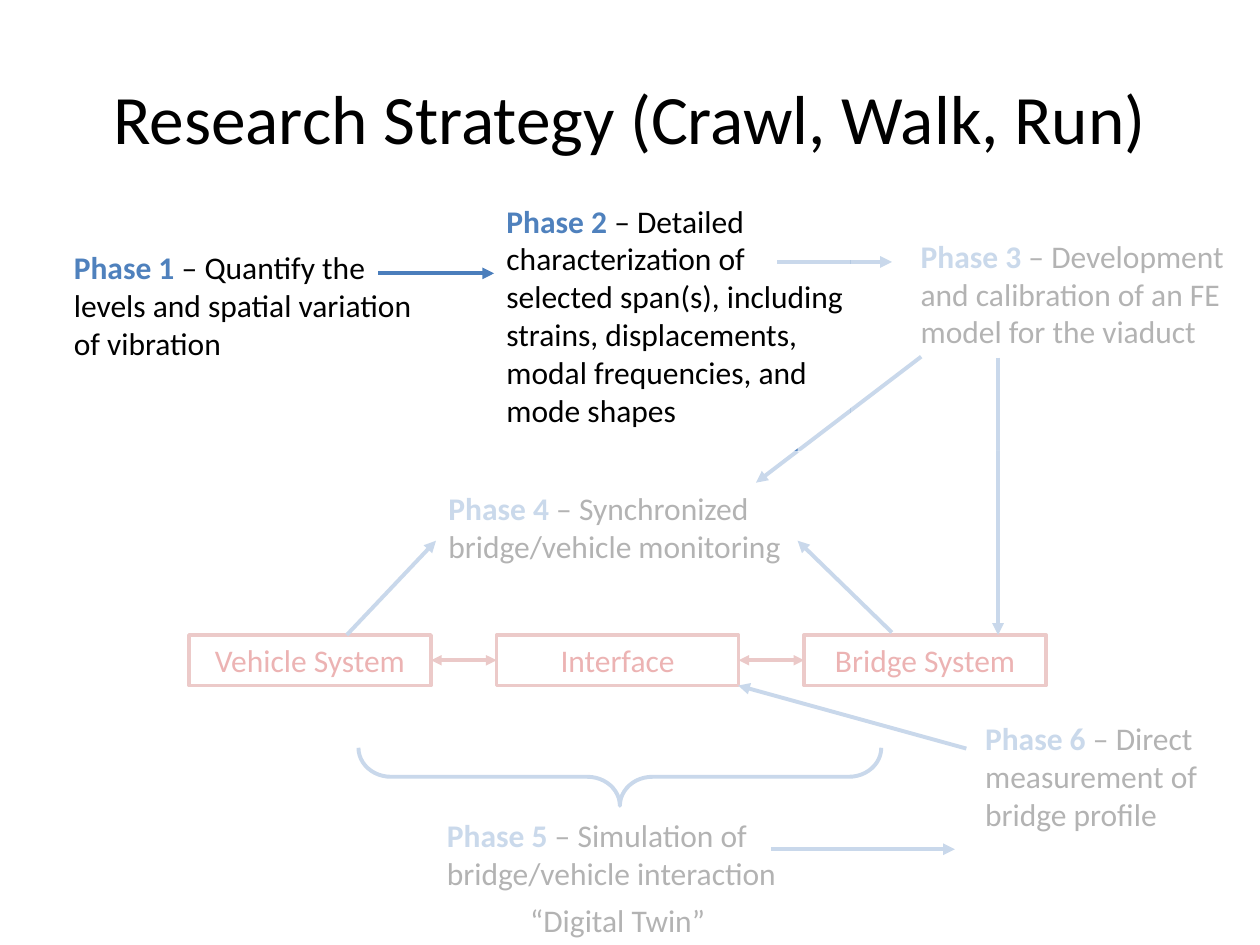
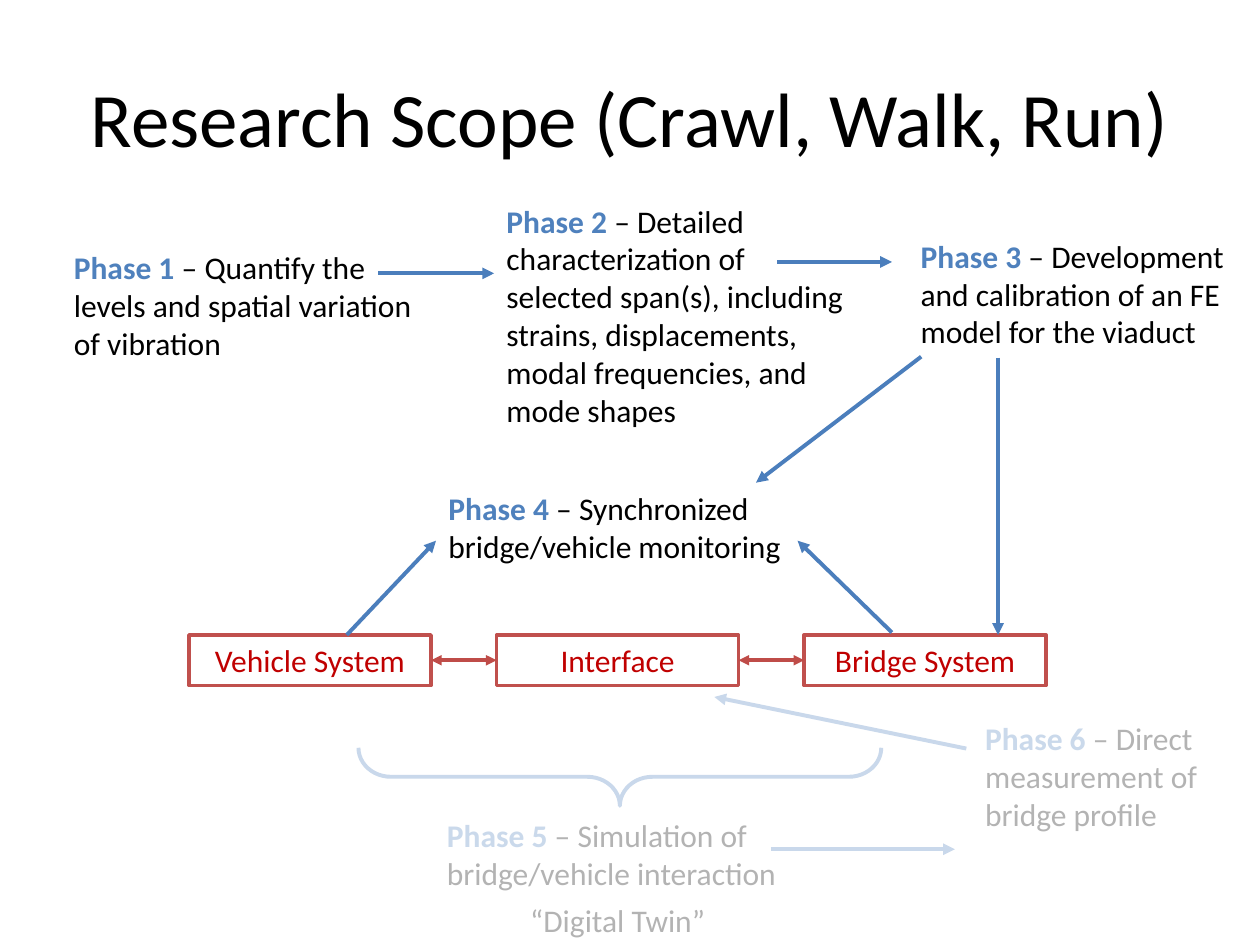
from lxml.etree import SubElement
from pptx import Presentation
from pptx.dml.color import RGBColor
from pptx.enum.shapes import MSO_CONNECTOR, MSO_SHAPE
from pptx.enum.text import MSO_ANCHOR, MSO_AUTO_SIZE, PP_ALIGN
from pptx.oxml.ns import qn
from pptx.util import Cm, Pt

BLUE, RED, DARK_RED = "4B7EBC", "C0504D", "C00000"
PHASE_BLUE, BLACK, WHITE = "4F81BD", "000000", "FFFFFF"
FONT = "Calibri"


def color(hex_string):
    return RGBColor.from_string(hex_string)


def style_connector(connector, line_color, width, ends):
    connector.line.color.rgb = color(line_color)
    connector.line.width = Pt(width)
    properties = connector.line._get_or_add_ln()
    for end in ends:
        SubElement(properties, qn(f"a:{end}"), type="triangle")
    SubElement(connector._element.spPr, qn("a:effectLst"))


notes = [
    ("Phase 1", " – Quantify the levels and spatial variation of vibration", 1.24, 4.88, 7.41, 2.57),
    ("Phase 2", " – Detailed characterization of selected span(s), including strains, "
     "displacements, modal frequencies, and mode shapes", 9.96, 3.94, 7.41, 4.88),
    ("Phase 3", " – Development and calibration of an FE model for the viaduct", 18.31, 4.65, 7.41, 2.57),
    ("Phase 4", " – Synchronized bridge/vehicle monitoring", 8.79, 9.73, 7.41, 1.8),
    ("Phase 5", " – Simulation of bridge/vehicle interaction", 8.76, 16.33, 7.41, 1.8),
    ("Phase 6", " – Direct measurement of bridge profile", 19.61, 14.38, 6.15, 2.57),
    ("", "“Digital Twin”", 10.44, 18.03, 5.08, 1.02),
]
systems = ["Vehicle System", "Interface", "Bridge System"]
phase_arrows = [
    (7.62, 5.51, 9.96, 5.51),
    (15.67, 5.28, 17.98, 5.28),
    (6.99, 12.8, 8.79, 10.9),
    (17.98, 12.75, 16.08, 10.9),
    (20.12, 7.21, 20.12, 12.8),
    (18.57, 7.19, 15.24, 9.73),
    (15.54, 17.12, 19.25, 17.12),
]
slides = [
    ("Research Strategy (Crawl, Walk, Run)", 39.6, (19.48, 15.09, 14.88, 13.82),
     [(0, 9.09, 25.4, 9.96), (17.15, 3.53, 8.25, 5.56),
      (16.08, 8.08, 1.07, 1.04), (15.65, 4.42, 1.5, 1.04)]),
    ("Research Scope (Crawl, Walk, Run)", 44, (19.48, 15.09, 14.4, 14.05),
     [(0, 13.92, 25.4, 5.13)]),
]

presentation = Presentation()
presentation.slide_width = Cm(25.4)
presentation.slide_height = Cm(19.05)

for title_text, title_size, profile_arrow, veils in slides:
    slide = presentation.slides.add_slide(presentation.slide_layouts[5])
    shapes = slide.shapes

    title = shapes.title
    title.left, title.top, title.width, title.height = Cm(1.27), Cm(0.76), Cm(22.86), Cm(3.18)
    title.text_frame.vertical_anchor = MSO_ANCHOR.MIDDLE
    paragraph = title.text_frame.paragraphs[0]
    paragraph.alignment = PP_ALIGN.CENTER
    run = paragraph.add_run()
    run.text = title_text
    run.font.name = FONT
    run.font.size = Pt(title_size)
    run.font.color.rgb = color(BLACK)

    for phase, description, *bounds in notes:
        text_box = shapes.add_textbox(*map(Cm, bounds))
        text_box.text_frame.word_wrap = True
        text_box.text_frame.auto_size = MSO_AUTO_SIZE.SHAPE_TO_FIT_TEXT
        paragraph = text_box.text_frame.paragraphs[0]
        for text, text_color, bold in [(phase, PHASE_BLUE, True), (description, BLACK, False)]:
            if text:
                run = paragraph.add_run()
                run.text = text
                run.font.name = FONT
                run.font.size = Pt(18)
                run.font.bold = bold
                run.font.color.rgb = color(text_color)

    boxes = []
    for index, system in enumerate(systems):
        box = shapes.add_shape(MSO_SHAPE.RECTANGLE, Cm(3.81 + 6.2 * index), Cm(12.8), Cm(4.88), Cm(1.02))
        box.shadow.inherit = False
        box.fill.solid()
        box.fill.fore_color.rgb = color(WHITE)
        box.line.color.rgb = color(RED)
        box.line.width = Pt(2)
        box.text_frame.word_wrap = True
        paragraph = box.text_frame.paragraphs[0]
        paragraph.alignment = PP_ALIGN.CENTER
        run = paragraph.add_run()
        run.text = system
        run.font.name = FONT
        run.font.size = Pt(18)
        run.font.color.rgb = color(DARK_RED)
        boxes.append(box)

    for left_box, right_box in zip(boxes, boxes[1:]):
        connector = shapes.add_connector(MSO_CONNECTOR.STRAIGHT, 0, 0, 0, 0)
        connector.begin_connect(left_box, 3)
        connector.end_connect(right_box, 1)
        style_connector(connector, "BF4C48", 2, ["headEnd", "tailEnd"])

    for points in phase_arrows + [profile_arrow]:
        connector = shapes.add_connector(MSO_CONNECTOR.STRAIGHT, *map(Cm, points))
        style_connector(connector, BLUE, 2.25, ["tailEnd"])

    brace = shapes.add_shape(MSO_SHAPE.RIGHT_BRACE, Cm(11.91), Cm(10.39), Cm(1.17), Cm(10.54))
    brace.shadow.inherit = False
    brace.rotation = 90
    brace.adjustments[0] = 0.56
    brace.adjustments[1] = 0.5
    brace.fill.background()
    brace.line.color.rgb = color(BLUE)
    brace.line.width = Pt(2.25)

    for bounds in veils:
        veil = shapes.add_shape(MSO_SHAPE.RECTANGLE, *map(Cm, bounds))
        veil.shadow.inherit = False
        veil.fill.solid()
        veil.fill.fore_color.rgb = color(WHITE)
        veil.line.fill.background()
        fill_color = veil._element.spPr.find(qn("a:solidFill")).find(qn("a:srgbClr"))
        SubElement(fill_color, qn("a:alpha"), val="70000")

presentation.save("out.pptx")
